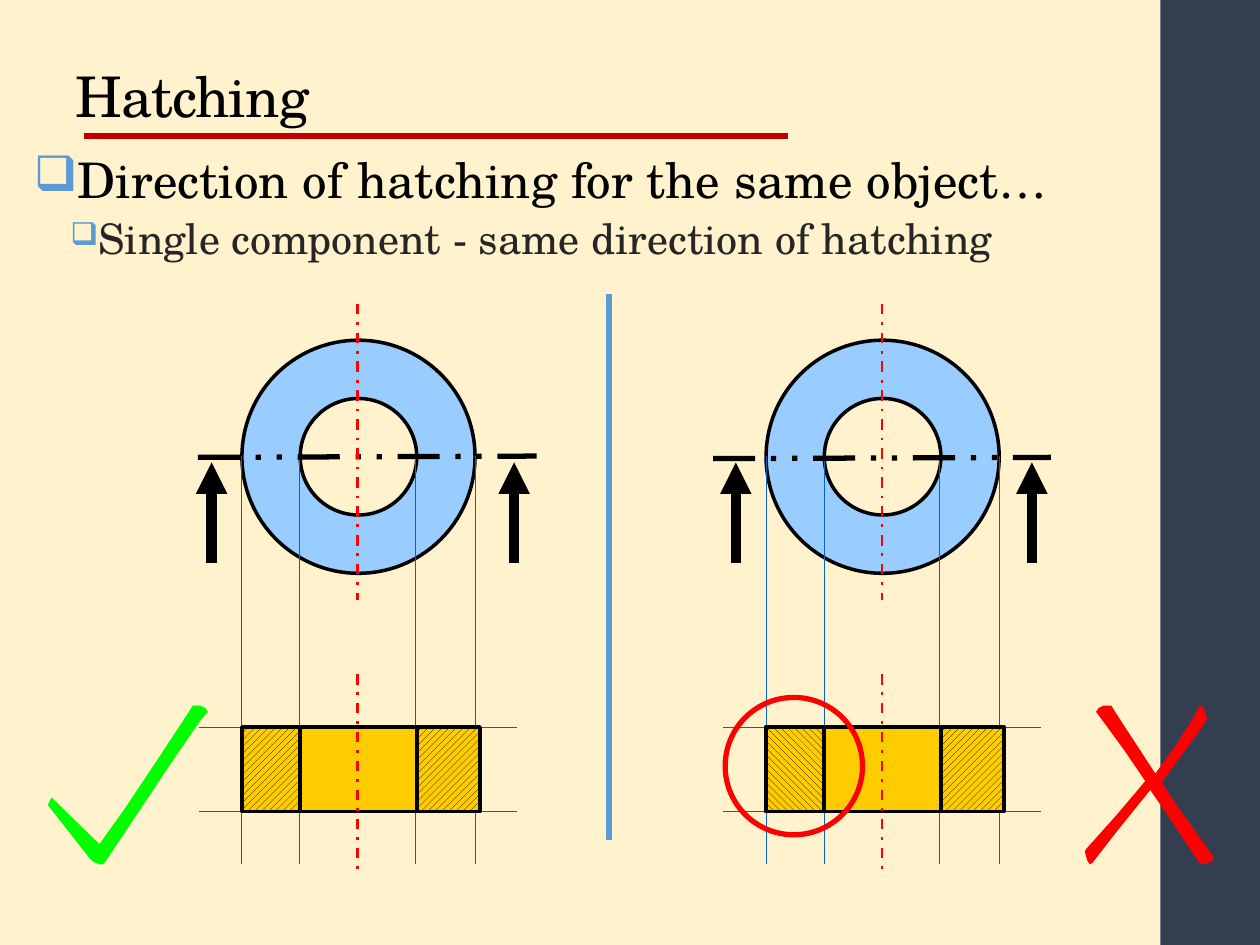
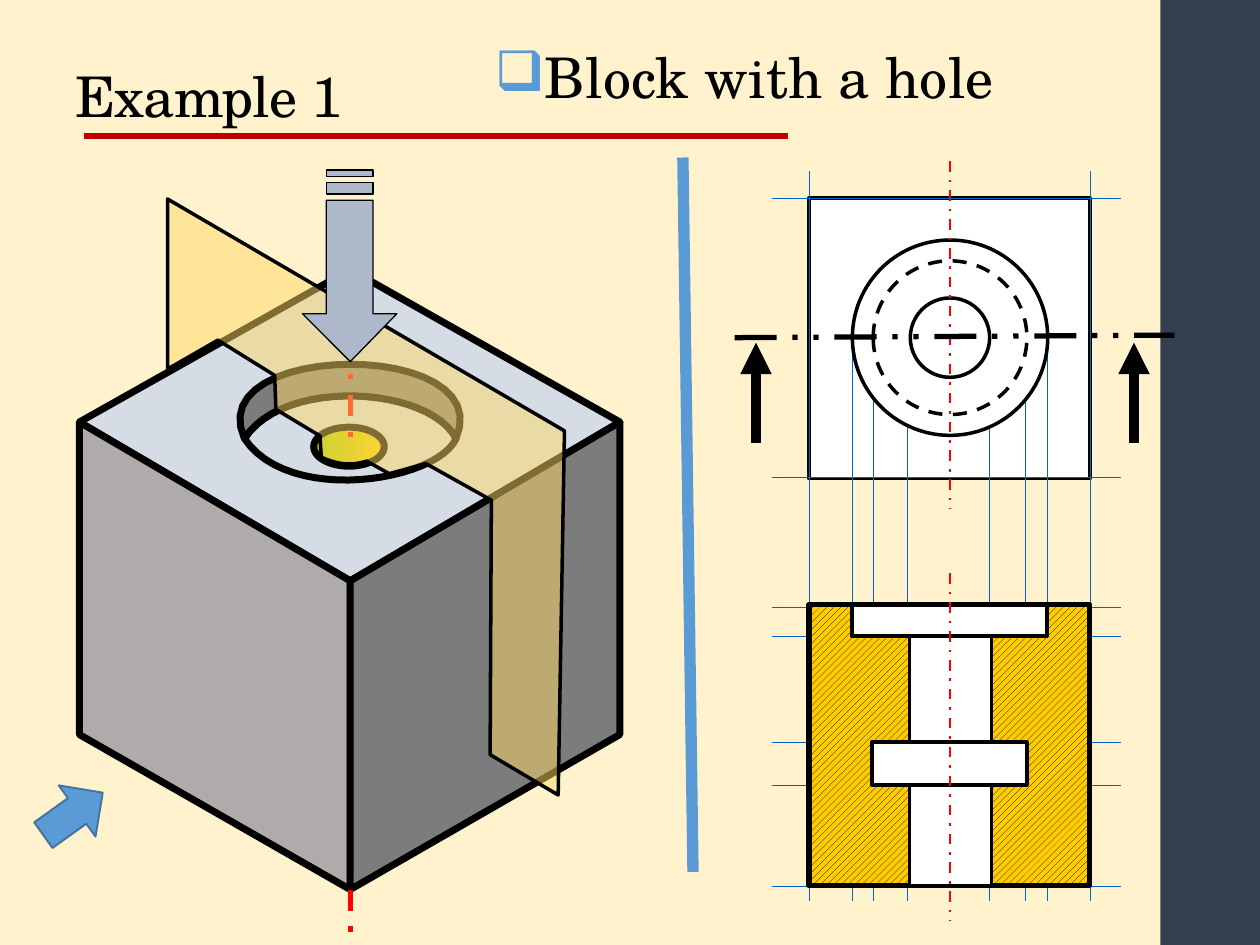
from dataclasses import dataclass
from typing import NamedTuple, Optional

from lxml.etree import SubElement
from pptx import Presentation
from pptx.dml.color import RGBColor
from pptx.enum.dml import MSO_LINE, MSO_PATTERN
from pptx.enum.shapes import MSO_CONNECTOR, MSO_SHAPE
from pptx.enum.text import MSO_ANCHOR
from pptx.oxml.ns import qn
from pptx.util import Cm, Pt

COLORS = {
    "cream": "FFF2CC", "navy": "333F50", "crimson": "C00000", "black": "000000",
    "text": "262626", "blue": "5B9BD5", "blue_edge": "43739E", "guide": "0563C1",
    "ring": "99CCFF", "section": "FFCC00", "olive": "99CC00", "red": "FF0000",
    "green": "00FF00", "white": "FFFFFF", "top": "D6DCE5", "side": "7C7C7C",
    "front": "AFABAB", "plane": "FFD966", "arrow": "ADB9CA",
}
FONT = "TeX Gyre Schola"
UP = MSO_PATTERN.WIDE_UPWARD_DIAGONAL
DOWN = MSO_PATTERN.WIDE_DOWNWARD_DIAGONAL
Point = tuple[float, float]


class Box(NamedTuple):
    left: float
    top: float
    width: float
    height: float


@dataclass(frozen=True)
class Style:
    fill: Optional[str] = None
    line: Optional[str] = "black"
    width: float = 2
    dash: Optional[MSO_LINE] = None
    hatch: Optional[MSO_PATTERN] = None
    opacity: int = 100


@dataclass(frozen=True)
class Panel:
    center: float
    cut_start: Point
    cut_end: Point
    arrows: Point


GUIDE = Style(line="guide", width=0.5)
THIN_GUIDE = Style(line="guide", width=0.25)
AXIS = Style(line="red", width=1.5, dash=MSO_LINE.DASH_DOT)
BLOCK_AXIS = Style(line="red", width=3, dash=MSO_LINE.DASH_DOT)
CUT = Style(width=3, dash=MSO_LINE.DASH_DOT_DOT)
WHITE = Style(fill="white")

PANELS = [
    Panel(2.84, (1.57, 3.63), (4.26, 3.62), (1.68, 4.08)),
    Panel(7.0, (5.66, 3.64), (8.34, 3.63), (5.84, 8.19)),
]
CHECK = [
    (1.13, 6.21), (0.99, 6.42), (0.79, 6.7), (0.41, 6.33), (0.38, 6.39), (0.71, 6.81),
    (0.74, 6.84), (0.79, 6.86), (0.82, 6.86), (0.85, 6.82), (1.09, 6.46), (1.35, 6.07),
    (1.59, 5.72), (1.65, 5.65), (1.63, 5.62), (1.59, 5.6), (1.53, 5.6), (1.5, 5.65),
    (1.27, 6),
]
CROSS = [
    (9.13, 6.27), (8.84, 6.63), (8.67, 6.85), (8.65, 6.86), (8.63, 6.83), (8.61, 6.76),
    (8.62, 6.74), (8.87, 6.46), (9.09, 6.2), (8.92, 5.95), (8.7, 5.65), (8.72, 5.62),
    (8.76, 5.6), (8.82, 5.6), (8.87, 5.68), (9.17, 6.14), (9.33, 5.92), (9.46, 5.72),
    (9.52, 5.6), (9.55, 5.61), (9.58, 5.7), (9.57, 5.73), (9.44, 5.91), (9.22, 6.21),
    (9.36, 6.42), (9.64, 6.81), (9.61, 6.84), (9.56, 6.86), (9.52, 6.85), (9.26, 6.46),
]


def length(inches: float) -> Cm:
    return Cm(inches * 2.54)


def rgb(name: str) -> RGBColor:
    return RGBColor.from_string(COLORS[name])


def format_line(line, style: Style) -> None:
    if style.line is None:
        line.fill.background()
        return
    line.color.rgb = rgb(style.line)
    line.width = Pt(style.width)
    if style.dash is not None:
        line.dash_style = style.dash


def format_shape(shape, style: Style):
    shape.shadow.inherit = False
    fill = shape.fill
    if style.hatch is not None:
        fill.patterned()
        fill.pattern = style.hatch
        fill.fore_color.rgb = rgb("black")
        fill.back_color.rgb = rgb(style.fill)
    elif style.fill is None:
        fill.background()
    else:
        fill.solid()
        fill.fore_color.rgb = rgb(style.fill)
        if style.opacity < 100:
            color = shape._element.spPr.find(qn("a:solidFill"))[0]
            SubElement(color, qn("a:alpha"), val=str(style.opacity * 1000))
    format_line(shape.line, style)
    return shape


def add_preset(slide, kind: MSO_SHAPE, box: Box, style: Style):
    return format_shape(slide.shapes.add_shape(kind, *map(length, box)), style)


def add_rectangle(slide, box: Box, style: Style):
    return add_preset(slide, MSO_SHAPE.RECTANGLE, box, style)


def add_circle(slide, center: Point, diameter: float, style: Style):
    left, top = (value - diameter / 2 for value in center)
    return add_preset(slide, MSO_SHAPE.OVAL, Box(left, top, diameter, diameter), style)


def add_outline(slide, contours: list[list[Point]], style: Style):
    scaled = [[(length(x), length(y)) for x, y in contour] for contour in contours]
    builder = slide.shapes.build_freeform(*scaled[0][0])
    for index, contour in enumerate(scaled):
        if index:
            builder.move_to(*contour[0])
        builder.add_line_segments(contour[1:], close=True)
    return format_shape(builder.convert_to_shape(), style)


def curve(start: Point, first: Point, second: Point, end: Point) -> list[Point]:
    steps = 24
    points = []
    for step in range(steps + 1):
        t = step / steps
        weights = ((1 - t) ** 3, 3 * t * (1 - t) ** 2, 3 * t * t * (1 - t), t ** 3)
        controls = (start, first, second, end)
        points.append(tuple(sum(w * c[axis] for w, c in zip(weights, controls)) for axis in (0, 1)))
    return points


def add_line(slide, start: Point, end: Point, style: Style, arrow: bool = False) -> None:
    connector = slide.shapes.add_connector(
        MSO_CONNECTOR.STRAIGHT, *map(length, (*start, *end)))
    format_line(connector.line, style)
    if arrow:
        SubElement(connector.line._get_or_add_ln(), qn("a:headEnd"), type="triangle")
    SubElement(connector._element.spPr, qn("a:effectLst"))


def add_vertical(slide, x: float, top: float, bottom: float, style: Style) -> None:
    add_line(slide, (x, top), (x, bottom), style)


def add_horizontal(slide, y: float, left: float, right: float, style: Style) -> None:
    add_line(slide, (left, y), (right, y), style)


def add_cut(slide, start: Point, end: Point, arrows: Point, top: float) -> None:
    add_line(slide, start, end, CUT)
    for x in arrows:
        add_line(slide, (x, top), (x, top + 0.8), Style(width=6), arrow=True)


def add_text_frame(slide, box: Box, anchor: MSO_ANCHOR = MSO_ANCHOR.TOP):
    frame = slide.shapes.add_textbox(*map(length, box)).text_frame
    frame.word_wrap = True
    frame.vertical_anchor = anchor
    return frame


def write_text(paragraph, text: str, *, size: float, color: str = "black",
               spacing: float = 0, line_spacing: float = 0.9, before: float = 0,
               after: float = 0, margin: float = 0, hanging: float = 0,
               bullet_size: int = 0) -> None:
    if bullet_size:
        properties = paragraph._p.get_or_add_pPr()
        properties.set("marL", str(length(margin)))
        properties.set("indent", str(-length(hanging)))
        bullet_color = SubElement(properties, qn("a:buClr"))
        SubElement(bullet_color, qn("a:srgbClr"), val=COLORS["blue"])
        SubElement(properties, qn("a:buSzPct"), val=str(bullet_size * 1000))
        SubElement(properties, qn("a:buChar"), char="❑")
    paragraph.line_spacing = line_spacing
    paragraph.space_before = Pt(before)
    paragraph.space_after = Pt(after)
    run = paragraph.add_run()
    run.text = text
    run.font.name = FONT
    run.font.size = Pt(size)
    run.font.color.rgb = rgb(color)
    run._r.get_or_add_rPr().set("spc", str(round(spacing * 100)))


def add_base_slide(presentation, title: str):
    slide = presentation.slides.add_slide(presentation.slide_layouts[6])
    slide.background.fill.solid()
    slide.background.fill.fore_color.rgb = rgb("cream")
    add_rectangle(slide, Box(9.21, 0, 0.79, 7.5), Style(fill="navy", line=None))
    add_horizontal(slide, 1.08, 0.67, 6.25, Style(line="crimson", width=3))
    frame = add_text_frame(slide, Box(0.5, 0.08, 7.95, 1), MSO_ANCHOR.BOTTOM)
    write_text(frame.paragraphs[0], title, size=32, spacing=-0.5)
    return slide


def add_washer(slide, panel: Panel) -> None:
    center = panel.center
    for y in (5.77, 6.44):
        add_horizontal(slide, y, center - 1.26, center + 1.26, GUIDE)
    ring = add_preset(slide, MSO_SHAPE.DONUT, Box(center - 0.92, 2.7, 1.85, 1.85), Style(fill="ring"))
    ring.adjustments[0] = 0.25
    for offset in (-0.92, -0.46, 0.46, 0.93):
        add_vertical(slide, center + offset, 3.62, 6.86, GUIDE)
    add_rectangle(slide, Box(center - 0.92, 5.77, 1.89, 0.67), Style(fill="section", hatch=UP))
    add_cut(slide, panel.cut_start, panel.cut_end, panel.arrows, 3.67)
    add_rectangle(slide, Box(center - 0.46, 5.77, 0.93, 0.67), Style(fill="section"))
    for top, bottom in ((2.41, 4.76), (5.35, 6.94)):
        add_vertical(slide, center, top, bottom, AXIS)


def build_hatching(presentation) -> None:
    slide = add_base_slide(presentation, "Hatching")
    frame = add_text_frame(slide, Box(0.17, 1.17, 9.42, 1.76))
    write_text(frame.paragraphs[0], "Direction of hatching for the same object…", size=28,
               spacing=0.1, line_spacing=0.95, after=2, margin=0.26, hanging=0.26, bullet_size=100)
    write_text(frame.add_paragraph(), "Single component - same direction of hatching", size=24,
               color="text", before=3, after=3, margin=0.48, hanging=0.19, bullet_size=75)
    for panel in PANELS:
        add_washer(slide, panel)
    add_rectangle(slide, Box(6.08, 5.77, 0.46, 0.67), Style(fill="section", hatch=DOWN))
    add_outline(slide, [CROSS], Style(fill="red", line=None))
    add_outline(slide, [CHECK], Style(fill="green", line=None))
    add_circle(slide, (6.3, 6.08), 1.09, Style(line="red", width=3))
    add_vertical(slide, 4.83, 2.33, 6.67, Style(line="blue", width=3.5))


def add_block(slide) -> None:
    hole_left, hole_right = (1.94, 3.48), (3.62, 3.48)
    floor_edge = curve(hole_right, (3.41, 3.07), (2.26, 2.99), hole_left)
    floor = curve(hole_left, (2.29, 4.01), (3.47, 3.82), hole_right) + floor_edge
    wall = curve(hole_left, (1.59, 2.7), (3.96, 2.69), hole_right) + floor_edge
    left, middle, right, back = (0.63, 3.35), (2.78, 4.61), (4.92, 3.35), (2.78, 2.14)
    bottom = (2.78, 7.06)
    for points, fill in (([left, middle, right, back], "top"), (floor, "top"), (wall, "side")):
        add_outline(slide, [points], Style(fill=fill, width=4))
    bore = add_preset(slide, MSO_SHAPE.OVAL, Box(2.49, 3.39, 0.56, 0.31), Style(width=4))
    bore.fill.gradient()
    bore.fill.gradient_angle = 0
    for stop, color in zip(bore.fill.gradient_stops, ("olive", "section")):
        stop.color.rgb = rgb(color)
    for points, fill in (([left, (0.63, 5.83), bottom, middle], "front"),
                         ([bottom, middle, right, (4.92, 5.83)], "side")):
        add_outline(slide, [points], Style(fill=fill, width=4))
    add_vertical(slide, 2.78, 1.76, 3.56, BLOCK_AXIS)
    add_vertical(slide, 2.78, 7.06, 7.5, BLOCK_AXIS)


def add_cutting_plane(slide) -> None:
    plane = [(3.38, 3.68), (3.09, 3.76)]
    plane += curve((2.91, 3.66), (2.81, 3.69), (2.71, 3.7), (2.55, 3.63))
    plane += [(2.54, 3.46), (2.19, 3.25), (2.18, 2.98), (1.73, 2.7), (1.33, 2.93), (1.33, 1.58),
              (4.48, 3.42), (4.43, 6.31), (3.89, 5.99), (3.9, 3.97)]
    add_outline(slide, [plane], Style(fill="plane", opacity=50))
    left, right = 2.59, 2.96
    arrow = [(right, 2.49), (right, 1.59), (left, 1.59), (left, 2.49), (2.4, 2.49),
             (2.78, 2.87), (3.15, 2.49)]
    stripes = [[(left, top), (right, top), (right, bottom), (left, bottom)]
               for top, bottom in ((1.45, 1.54), (1.35, 1.4))]
    add_outline(slide, [arrow, *stripes], Style(fill="arrow", width=0.75))


def add_views(slide) -> None:
    center = (7.54, 2.68)
    add_circle(slide, center, 1.55, WHITE)
    add_circle(slide, center, 0.63, WHITE)
    add_circle(slide, center, 1.22, Style(dash=MSO_LINE.DASH))
    add_vertical(slide, 7.54, 1.28, 4.04, AXIS)
    add_rectangle(slide, Box(6.42, 4.8, 2.23, 2.23), Style(fill="section", width=3, hatch=UP))
    for box in (Box(6.76, 4.8, 1.55, 0.25), Box(7.22, 5.05, 0.65, 0.84),
                Box(6.92, 5.89, 1.23, 0.34), Box(7.22, 6.23, 0.65, 0.8)):
        add_rectangle(slide, box, WHITE)
    add_vertical(slide, 7.54, 4.55, 7.31, AXIS)
    add_cut(slide, (5.83, 2.68), (9.32, 2.66), (6, 9), 2.72)


def build_example(presentation) -> None:
    slide = add_base_slide(presentation, "Example 1")
    frame = add_text_frame(slide, Box(3.83, 0.33, 4.75, 0.76))
    write_text(frame.paragraphs[0], "Block with a hole", size=32, spacing=0.1,
               line_spacing=0.95, after=2, margin=0.31, hanging=0.31, bullet_size=100)
    add_rectangle(slide, Box(6.42, 1.57, 2.23, 2.23), WHITE)
    for y in (1.57, 3.79, 4.82, 5.05, 5.89, 6.23, 7.03):
        add_horizontal(slide, y, 6.13, 8.9, THIN_GUIDE)
    for x in (6.76, 6.93, 7.2, 7.85, 8.14, 8.31):
        add_vertical(slide, x, 2.66, 7.15, THIN_GUIDE)
    for x in (6.42, 8.65):
        add_vertical(slide, x, 1.36, 7.15, THIN_GUIDE)
    add_block(slide)
    add_views(slide)
    add_cutting_plane(slide)
    pointer = add_preset(slide, MSO_SHAPE.UP_ARROW, Box(0.33, 6.17, 0.5, 0.58),
                         Style(fill="blue", line="blue_edge", width=1.1))
    pointer.rotation = 54.4
    add_line(slide, (5.42, 1.25), (5.5, 6.92), Style(line="blue", width=6.5))


def main() -> None:
    presentation = Presentation()
    presentation.slide_width = Cm(25.4)
    presentation.slide_height = Cm(19.05)
    build_hatching(presentation)
    build_example(presentation)
    presentation.save("out.pptx")


if __name__ == "__main__":
    main()
